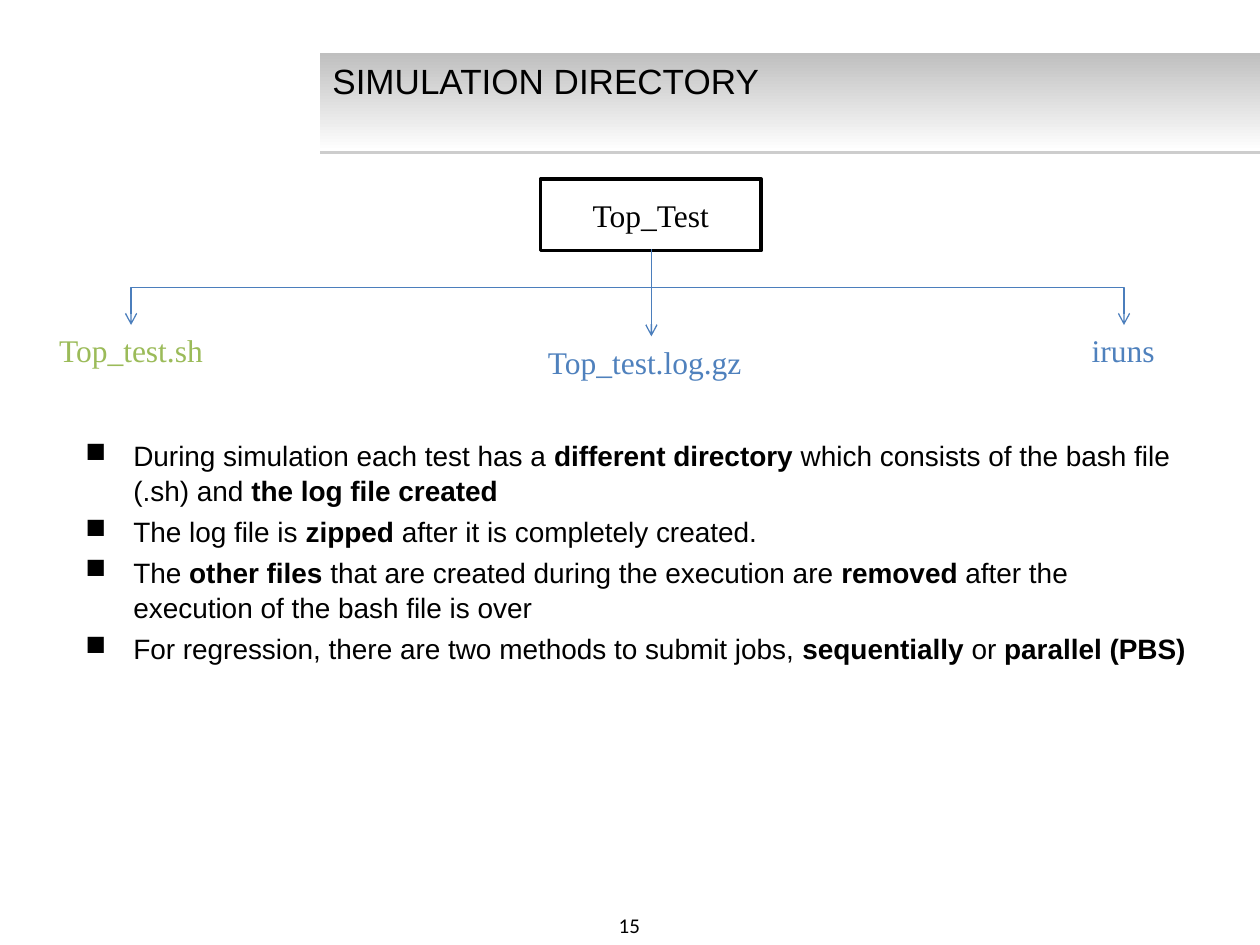
from dataclasses import dataclass

from lxml.etree import SubElement
from pptx import Presentation
from pptx.dml.color import RGBColor
from pptx.enum.shapes import MSO_CONNECTOR as Link, MSO_SHAPE as Preset
from pptx.enum.text import MSO_ANCHOR as Anchor, PP_ALIGN as Align
from pptx.oxml.ns import qn
from pptx.util import Inches, Pt

SERIF = "Times New Roman"
BLACK, WHITE, BLUE, GREEN, LINE_BLUE = "000000", "FFFFFF", "4F81BD", "9BBB59", "4B7EBC"
ROOT_X, ROOT_BOTTOM = 5.17, 1.98


@dataclass
class Label:
    text: str
    left: float
    top: float
    width: float
    height: float
    size: int = 18
    font: str = SERIF
    color: str = BLACK
    align: Align = Align.CENTER
    anchor: Anchor = Anchor.TOP


@dataclass
class Branch:
    x: float
    y: float


LABELS = [
    Label("15", 3.83, 7.19, 2.33, 0.31, 12, "Calibri", anchor=Anchor.MIDDLE),
    Label("SIMULATION DIRECTORY", 2.54, 0.42, 7.46, 0.78, 20, "Arial", align=Align.LEFT),
    Label("Top_test.log.gz", 4.25, 2.67, 1.83, 0.42, color=BLUE, align=Align.LEFT),
    Label("iruns", 8.08, 2.58, 1.67, 0.42, color=BLUE),
    Label("Top_test.sh", 0, 2.58, 2.08, 0.42, color=GREEN),
]
BRANCHES = [Branch(8.92, 2.58), Branch(1.04, 2.58), Branch(ROOT_X, 2.67)]

# Odd-numbered pieces are bold.
BULLETS = [
    ["During simulation each test has a ", "different directory ",
     "which consists of the bash file (.sh) and ", "the log file created"],
    ["The log file is ", "zipped", " after it is completely created."],
    ["The ", "other files ", "that are created during the execution are ", "removed",
     " after the execution of the bash file is over"],
    ["For regression, there are two methods to submit jobs, ", "sequentially",
     " or ", "parallel (PBS)"],
]


def rgb(color: str) -> RGBColor:
    return RGBColor.from_string(color)


def style(font, name: str, size: int, color: str) -> None:
    font.name, font.size = name, Pt(size)
    font.color.rgb = rgb(color)


def add_banner(page) -> None:
    banner = page.shapes.add_shape(
        Preset.RECTANGLE, Inches(2.54), Inches(0.42), Inches(7.46), Inches(0.78))
    banner.line.fill.background()
    banner.fill.gradient()
    banner.fill.gradient_angle = 270
    for stop, position, color in zip(banner.fill.gradient_stops, (0, 1), ("BFBFBF", WHITE)):
        stop.position = position
        stop.color.rgb = rgb(color)
    banner.shadow.inherit = False
    effects = banner._element.spPr.find(qn("a:effectLst"))
    shadow = SubElement(effects, qn("a:outerShdw"), blurRad="0", dist=str(Pt(1.6)),
                        dir="5400000", algn="t", rotWithShape="0")
    tint = SubElement(shadow, qn("a:srgbClr"), val="808080")
    SubElement(tint, qn("a:alpha"), val="38000")


def write_label(box, label: Label) -> None:
    frame = box.text_frame
    frame.text = label.text
    frame.word_wrap = True
    frame.vertical_anchor = label.anchor
    para = frame.paragraphs[0]
    para.alignment = label.align
    style(para.runs[0].font, label.font, label.size, label.color)


def add_label(page, label: Label) -> None:
    box = page.shapes.add_textbox(
        Inches(label.left), Inches(label.top), Inches(label.width), Inches(label.height))
    write_label(box, label)


def add_root(page, label: Label) -> None:
    box = page.shapes.add_shape(
        Preset.RECTANGLE, Inches(label.left), Inches(label.top),
        Inches(label.width), Inches(label.height))
    box.shadow.inherit = False
    box.fill.solid()
    box.fill.fore_color.rgb = rgb(WHITE)
    box.line.color.rgb = rgb(BLACK)
    box.line.width = Pt(2)
    write_label(box, label)


def add_bullets(page) -> None:
    box = page.shapes.add_textbox(Inches(0.58), Inches(3.42), Inches(9), Inches(2.17))
    frame = box.text_frame
    frame.word_wrap = True
    for index, pieces in enumerate(BULLETS):
        para = frame.add_paragraph() if index else frame.paragraphs[0]
        properties = para._p.get_or_add_pPr()
        properties.set("marL", str(Inches(0.38)))
        properties.set("indent", str(-Inches(0.38)))
        SubElement(properties, qn("a:buChar"), char="■")
        para.line_spacing = 1.05
        if index:
            para.space_before = Pt(3.2)
        for order, piece in enumerate(pieces):
            span = para.add_run()
            span.text = piece
            style(span.font, "Arial", 16, BLACK)
            span.font.bold = order % 2 == 1


def add_branch(page, branch: Branch) -> None:
    across, drop = branch.x - ROOT_X, branch.y - ROOT_BOTTOM
    if across:
        middle_x, middle_y = (branch.x + ROOT_X) / 2, (branch.y + ROOT_BOTTOM) / 2
        side = drop / 2 if across > 0 else -drop / 2
        half = abs(across) / 2
        kind = Link.ELBOW
        ends = (middle_x + side, middle_y - half, middle_x - side, middle_y + half)
    else:
        kind = Link.STRAIGHT
        ends = (ROOT_X, ROOT_BOTTOM, branch.x, branch.y)
    arrow = page.shapes.add_connector(kind, *(Inches(end) for end in ends))
    properties = arrow._element.spPr
    if across:
        turn = 270 if across > 0 else 90
        properties.find(qn("a:xfrm")).set("rot", str(turn * 60000))
    arrow.line.color.rgb = rgb(LINE_BLUE)
    arrow.line.width = Pt(0.75)
    SubElement(arrow.line._get_or_add_ln(), qn("a:tailEnd"), type="arrow")
    SubElement(properties, qn("a:effectLst"))


def main() -> None:
    deck = Presentation()
    deck.slide_width, deck.slide_height = Inches(10), Inches(7.5)
    page = deck.slides.add_slide(deck.slide_layouts[6])
    add_banner(page)
    for label in LABELS:
        add_label(page, label)
    add_bullets(page)
    add_root(page, Label("Top_Test", 4.29, 1.42, 1.75, 0.57, anchor=Anchor.MIDDLE))
    for branch in BRANCHES:
        add_branch(page, branch)
    deck.save("out.pptx")


if __name__ == "__main__":
    main()
